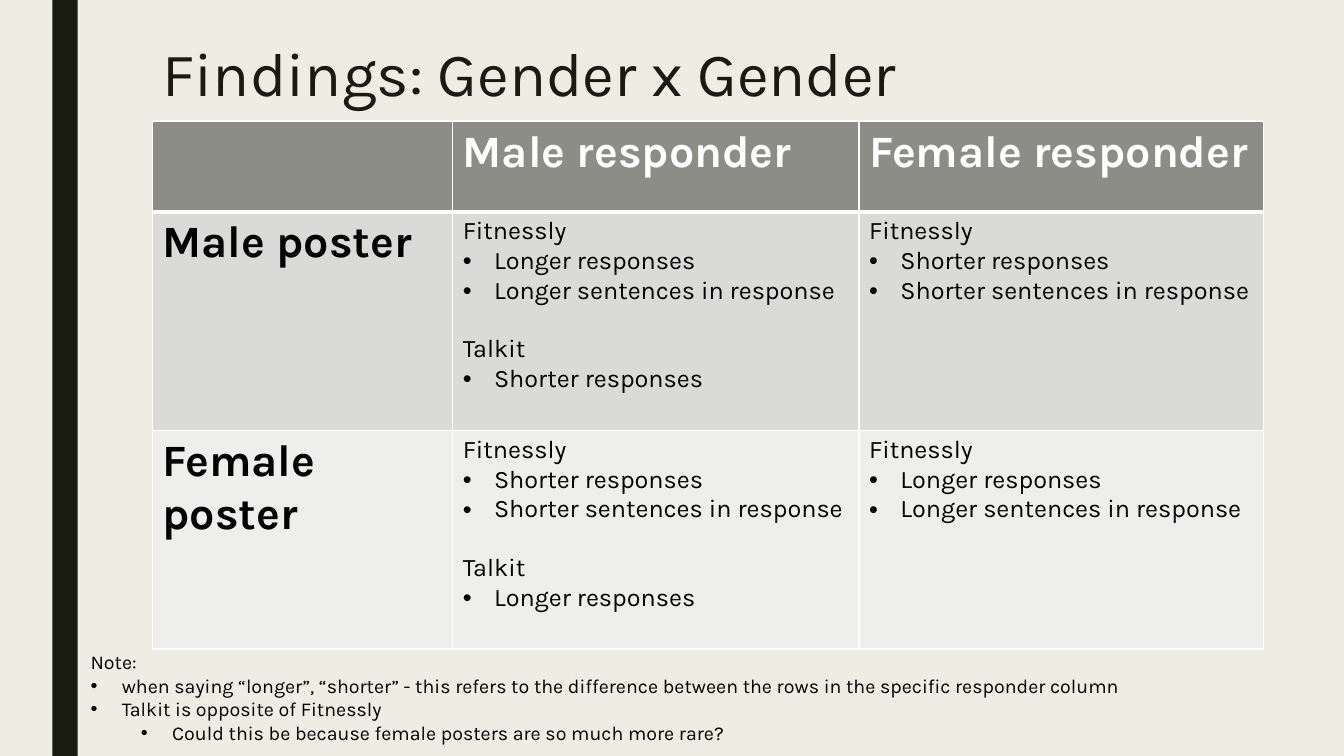
from dataclasses import dataclass

from lxml import etree
from pptx import Presentation
from pptx.dml.color import RGBColor
from pptx.enum.shapes import MSO_SHAPE
from pptx.enum.text import MSO_ANCHOR
from pptx.oxml.ns import qn
from pptx.slide import Slide
from pptx.table import _Cell
from pptx.text.text import TextFrame, _Paragraph
from pptx.util import Inches, Pt

RECTANGLE = MSO_SHAPE.RECTANGLE
TOP = MSO_ANCHOR.TOP

FONT = "Karla"
CREAM = RGBColor(0xEF, 0xED, 0xE3)
DARK = RGBColor(0x19, 0x1B, 0x0E)
BLACK = RGBColor(0, 0, 0)
WHITE = RGBColor(0xFF, 0xFF, 0xFF)
HEADER_GRAY = RGBColor(0x8C, 0x8D, 0x86)
BAND_DARK = RGBColor(0xDA, 0xDB, 0xD9)
BAND_LIGHT = RGBColor(0xEE, 0xEE, 0xED)

COLUMN_WIDTHS = (2.98, 4.03, 4.01)
ROW_HEIGHTS = (0.9, 2.17, 2.17)
BULLET_HANG = 0.31


@dataclass(frozen=True)
class Line:
    text: str
    indent: float = 0
    gap: float = 0


@dataclass(frozen=True)
class Style:
    size: float
    color: RGBColor = BLACK
    bold: bool = False


@dataclass(frozen=True)
class Row:
    cells: tuple[list[Line], ...]
    styles: tuple[Style, ...]
    fill: RGBColor
    bottom_border: float = 1


HEADING = Style(32, bold=True)
HEADER = Style(32, WHITE, True)
BODY = Style(18)
NOTE = Style(14)


def bullet(text: str, indent: float = BULLET_HANG) -> Line:
    return Line(text, indent)


def fitness_site(length: str) -> list[Line]:
    return [
        Line("Fitnessly"),
        bullet(f"{length} responses"),
        bullet(f"{length} sentences in response"),
    ]


def forum_site(length: str) -> list[Line]:
    return [Line("Talkit", gap=21), bullet(f"{length} responses")]


ROWS = [
    Row(([], [Line("Male responder")], [Line("Female responder")]),
        (HEADER,) * 3, HEADER_GRAY, 3),
    Row(([Line("Male poster")], fitness_site("Longer") + forum_site("Shorter"),
         fitness_site("Shorter")),
        (HEADING, BODY, BODY), BAND_DARK),
    Row(([Line("Female poster")], fitness_site("Shorter") + forum_site("Longer"),
         fitness_site("Longer")),
        (HEADING, BODY, BODY), BAND_LIGHT),
]

NOTES = [
    Line("Note:"),
    bullet("when saying “longer”, “shorter” - this refers to the difference "
           "between the rows in the specific responder column"),
    bullet("Talkit is opposite of Fitnessly"),
    bullet("Could this be because female posters are so much more rare?", 0.81),
]


def format_runs(p: _Paragraph, style: Style) -> None:
    for r in p.runs:
        r.font.name = FONT
        r.font.size = Pt(style.size)
        r.font.bold = style.bold
        r.font.color.rgb = style.color


def add_bullet(p: _Paragraph, indent: float) -> None:
    pPr = p._p.get_or_add_pPr()
    pPr.set("marL", str(Inches(indent)))
    pPr.set("indent", str(-Inches(BULLET_HANG)))
    etree.SubElement(pPr, qn("a:buFont"), typeface="Arial")
    etree.SubElement(pPr, qn("a:buChar"), char="•")


def write_lines(tf: TextFrame, lines: list[Line], style: Style) -> None:
    tf.text = "\n".join(line.text for line in lines)
    for p, line in zip(tf.paragraphs, lines):
        if line.gap:
            p.space_before = Pt(line.gap)
        if line.indent:
            add_bullet(p, line.indent)
        format_runs(p, style)


def set_borders(cell: _Cell, top: float, bottom: float) -> None:
    tcPr = cell._tc.get_or_add_tcPr()
    for side, width in (("L", 1), ("R", 1), ("T", top), ("B", bottom)):
        ln = etree.SubElement(tcPr, qn(f"a:ln{side}"), w=str(Pt(width)))
        fill = etree.SubElement(ln, qn("a:solidFill"))
        etree.SubElement(fill, qn("a:srgbClr"), val=str(WHITE))


def add_side_bar(s: Slide) -> None:
    sp = s.shapes.add_shape(RECTANGLE, Inches(0.52), 0, Inches(0.25), Inches(7.5))
    sp.shadow.inherit = False
    sp.fill.solid()
    sp.fill.fore_color.rgb = DARK
    sp.line.fill.background()


def set_title(s: Slide, text: str) -> None:
    sp = s.shapes.title
    sp.left, sp.top = Inches(1.51), Inches(0.39)
    sp.width, sp.height = Inches(10.5), Inches(1.62)
    tf = sp.text_frame
    tf.text = text
    tf.vertical_anchor = TOP
    p = tf.paragraphs[0]
    p.alignment = 1
    p.line_spacing = 0.89
    format_runs(p, Style(44, DARK))


def add_findings_table(s: Slide) -> None:
    table = s.shapes.add_table(
        len(ROWS), len(COLUMN_WIDTHS), Inches(1.51), Inches(1.2),
        Inches(sum(COLUMN_WIDTHS)), Inches(sum(ROW_HEIGHTS))).table
    for column, width in zip(table.columns, COLUMN_WIDTHS):
        column.width = Inches(width)
    top_border = 1
    for table_row, height, row in zip(table.rows, ROW_HEIGHTS, ROWS):
        table_row.height = Inches(height)
        for cell, lines, style in zip(table_row.cells, row.cells, row.styles):
            set_borders(cell, top_border, row.bottom_border)
            cell.fill.solid()
            cell.fill.fore_color.rgb = row.fill
            write_lines(cell.text_frame, lines, style)
        top_border = row.bottom_border


def add_notes(s: Slide) -> None:
    sp = s.shapes.add_textbox(Inches(0.8), Inches(6.4), Inches(12.5), Inches(1.04))
    tf = sp.text_frame
    tf.word_wrap = True
    write_lines(tf, NOTES, NOTE)
    tf.paragraphs[-1].level = 1


def main() -> None:
    prs = Presentation()
    prs.slide_width, prs.slide_height = Inches(13.33), Inches(7.5)
    s = prs.slides.add_slide(prs.slide_layouts[5])
    s.background.fill.solid()
    s.background.fill.fore_color.rgb = CREAM
    add_side_bar(s)
    set_title(s, "Findings: Gender x Gender")
    add_findings_table(s)
    add_notes(s)
    prs.save("out.pptx")


if __name__ == "__main__":
    main()
